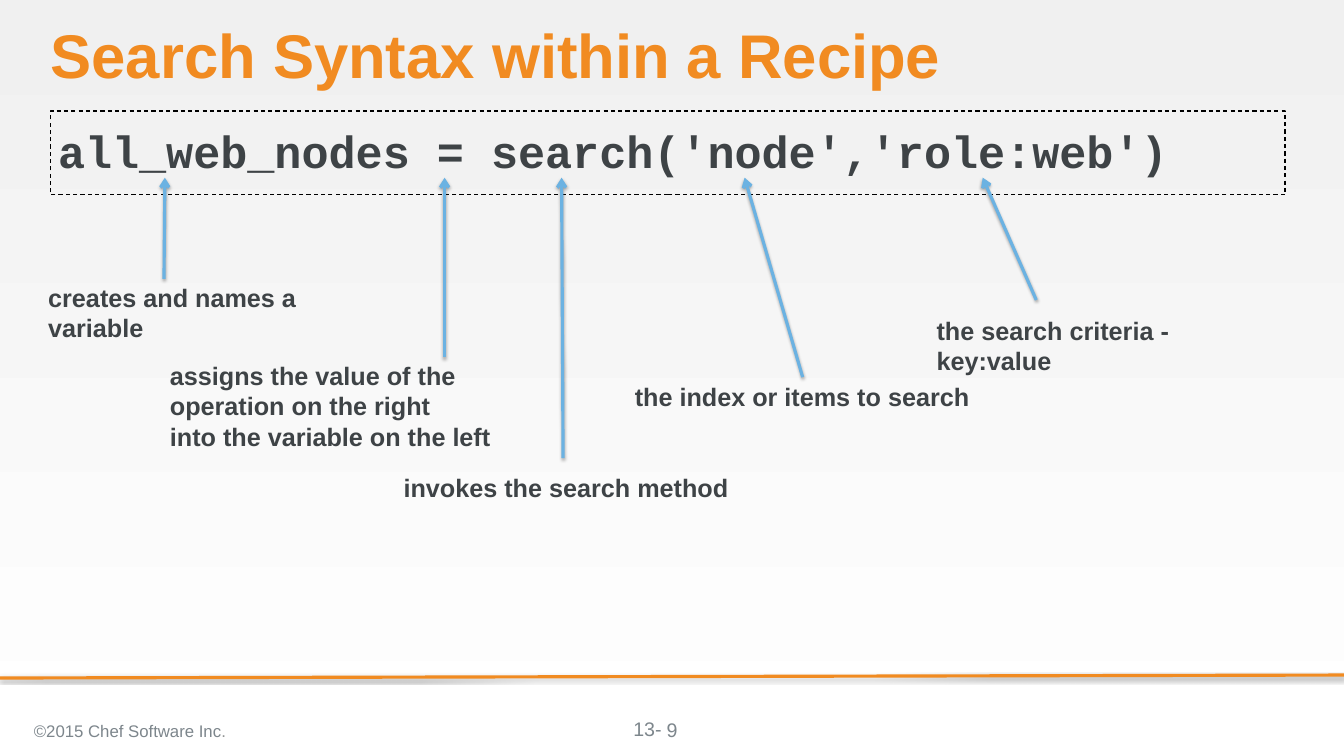
from dataclasses import dataclass

from lxml.etree import SubElement
from pptx import Presentation
from pptx.dml.color import RGBColor
from pptx.enum.dml import MSO_LINE
from pptx.enum.shapes import MSO_CONNECTOR, MSO_SHAPE
from pptx.enum.text import MSO_ANCHOR as Anchor, PP_ALIGN as Align
from pptx.oxml import parse_xml
from pptx.oxml.ns import nsdecls, qn
from pptx.util import Cm, Pt


@dataclass(frozen=True)
class Theme:
    orange: str = "F18B21"
    blue: str = "6BB2E2"
    ink: str = "3E4346"
    muted: str = "7D868C"
    dot: str = "929494"
    border: str = "000000"
    top: str = "F0F0F0"
    bottom: str = "FFFFFF"
    sans: str = "Arial"
    mono: str = "Courier New"
    title: float = 58.7
    code: float = 43
    note: float = 24
    page: float = 18.7
    small: float = 16


T = Theme()
ARROW_TOP = 5.97
NOTE_WIDTH = 11.94
PAD = (0.25, 0.13, 0.25, 0.13)
NOTE_PAD = (0.25,) * 4

CALLOUTS = [
    (["creates and names a variable"], (1.37, 9.22, 2.54), (5.51, 9.37), 5.54),
    (["assigns the value of the", "operation on the right", "into the variable on the left"],
     (5.46, 11.86, 4.47), (14.94, 12.01), 14.94),
    (["invokes the search method"], (13.31, 15.62, 2.54), (18.92, 15.39), 18.87),
    (["the index or items to search"], (21.08, 12.57, 2.54), (26.97, 12.67), 25.02),
    (["the search criteria - key:value"], (31.22, 10.34, 2.54), (34.82, 10.08), 33.02),
]


def rgb(value):
    return RGBColor.from_string(value)


def set_background(s):
    fill = s.background.fill
    fill.gradient()
    fill.gradient_angle = 270
    for stop, color, position in zip(fill.gradient_stops, (T.top, T.bottom), (0, 1)):
        stop.color.rgb = rgb(color)
        stop.position = position


def set_frame(sp, pad, anchor=Anchor.TOP, wrap=True):
    tf = sp.text_frame
    tf.word_wrap = wrap
    tf.vertical_anchor = anchor
    tf.margin_left, tf.margin_top, tf.margin_right, tf.margin_bottom = map(Cm, pad)
    return tf


def add_run(p, text, size, color, font=T.sans, bold=False):
    r = p.add_run()
    r.text = text
    r.font.name, r.font.size, r.font.bold = font, Pt(size), bold
    r.font.color.rgb = rgb(color)


def add_box(s, at, pad, anchor=Anchor.TOP, wrap=True):
    return set_frame(s.shapes.add_textbox(*map(Cm, at)), pad, anchor, wrap)


def add_line(s, start, end, color, arrow=False):
    line = s.shapes.add_connector(MSO_CONNECTOR.STRAIGHT, *map(Cm, start + end))
    line.line.color.rgb = rgb(color)
    line.line.width = Pt(3)
    props = line._element.spPr
    if arrow:
        SubElement(props.find(qn("a:ln")), qn("a:tailEnd"), type="arrow")
    props.append(parse_xml(
        f'<a:effectLst {nsdecls("a")}>'
        f'<a:outerShdw blurRad="{Pt(3.1)}" dist="{Pt(1.8)}" dir="5400000" rotWithShape="0">'
        f'<a:srgbClr val="{T.border}"><a:alpha val="35000"/></a:srgbClr>'
        '</a:outerShdw></a:effectLst>'))


def add_title(s, text):
    p = add_box(s, (1.7, 0.84, 41.48, 2.31), (0,) * 4).paragraphs[0]
    p.line_spacing = 0.9
    add_run(p, text, T.title, T.orange, bold=True)


def add_code(s, text):
    sp = s.shapes.add_shape(MSO_SHAPE.RECTANGLE, *map(Cm, (1.7, 3.73, 41.48, 2.82)))
    sp.shadow.inherit = False
    sp.fill.background()
    sp.line.color.rgb = rgb(T.border)
    sp.line.width = Pt(1)
    sp.line.dash_style = MSO_LINE.DASH
    p = set_frame(sp, (0.25, 0.41, 0.25, 0.13)).paragraphs[0]
    p.alignment = Align.LEFT
    add_run(p, text, T.code, T.ink, T.mono, True)


def add_note(s, lines, place):
    left, top, height = place
    tf = add_box(s, (left, top, NOTE_WIDTH, height), NOTE_PAD, wrap=False)
    for i, text in enumerate(lines):
        p = tf.add_paragraph() if i else tf.paragraphs[0]
        add_run(p, text, T.note, T.ink, bold=True)


def add_footer(s):
    add_line(s, (45.16, 22.68), (0, 22.78), T.orange)
    chapter = add_box(s, (21.18, 24.1, 2.03, 0.79), (0.1, 0, 0, 0)).paragraphs[0]
    add_run(chapter, "13-", T.page, T.muted)
    owner = add_box(s, (0.89, 23.83, 15.77, 1.42), PAD, Anchor.MIDDLE).paragraphs[0]
    add_run(owner, "©2015 Chef Software Inc", T.small, T.muted)
    add_run(owner, ".", T.small, T.dot)
    number = add_box(s, (17.5, 23.83, 10.16, 1.35), PAD, Anchor.MIDDLE).paragraphs[0]
    number.alignment = Align.CENTER
    add_run(number, "9", T.page, T.muted)


def main():
    prs = Presentation()
    prs.slide_width, prs.slide_height = Cm(45.16), Cm(25.4)
    s = prs.slides.add_slide(prs.slide_layouts[6])
    set_background(s)
    add_title(s, "Search Syntax within a Recipe")
    add_code(s, "all_web_nodes = search('node','role:web')")
    add_footer(s)
    for lines, place, start, target in CALLOUTS:
        add_line(s, start, (target, ARROW_TOP), T.blue, arrow=True)
        add_note(s, lines, place)
    prs.save("out.pptx")


if __name__ == "__main__":
    main()
